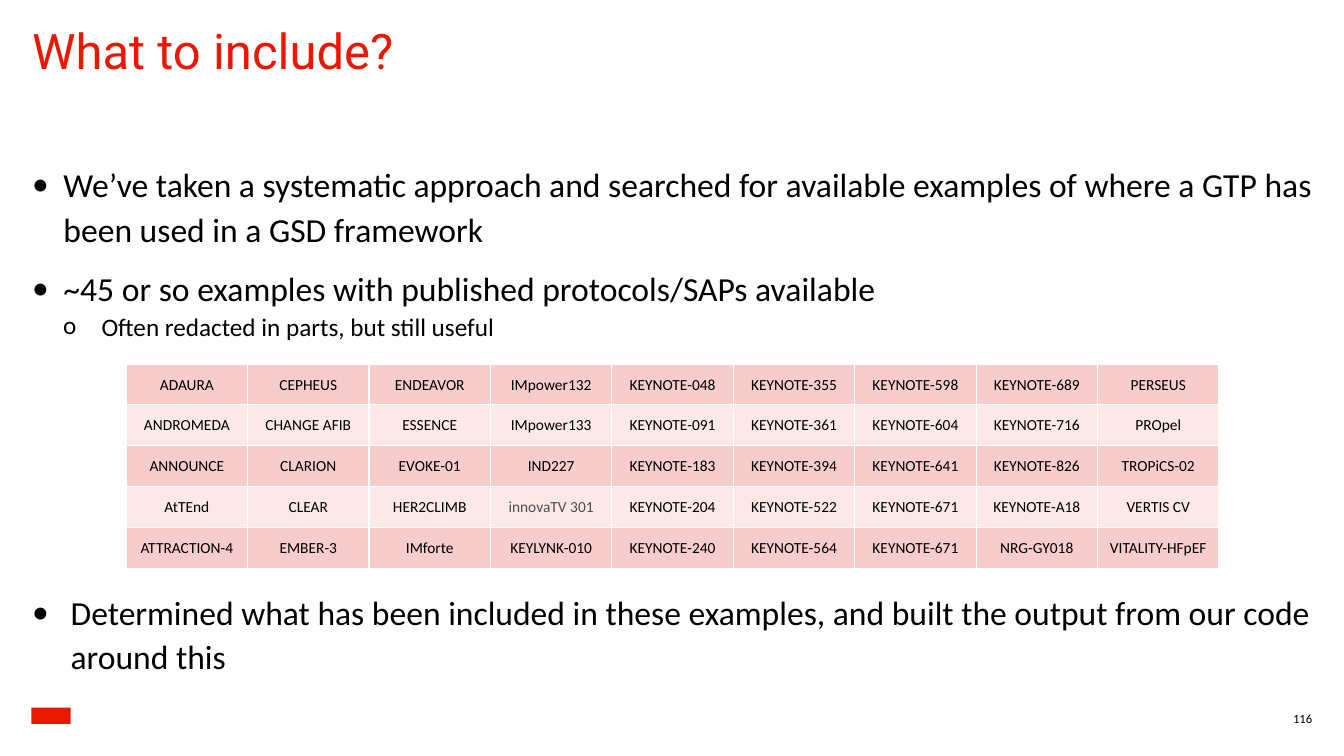
import lxml.etree
import pptx
import pptx.dml.color
import pptx.enum.shapes
import pptx.enum.text
import pptx.oxml.ns
import pptx.util

Cm = pptx.util.Cm
Pt = pptx.util.Pt
ALIGN = pptx.enum.text.PP_ALIGN
ANCHOR = pptx.enum.text.MSO_ANCHOR

RED, BLACK, GREY, WHITE = "EB1700", "000000", "4D4D4D", "FFFFFF"
BANDS = ("F7CCCC", "FBE8E7")
LEFT, CONTENT_WIDTH = 0.81, 32.26

# text, level, left indent (cm), hanging (cm), size (pt), space before (pt)
POINTS = [
    ("We’ve taken a systematic approach and searched for available examples "
     "of where a GTP has been used in a GSD framework", 0, 0.79, 0.79, 24, 0),
    ("~45 or so examples with published protocols/SAPs available",
     0, 0.79, 0.79, 24, 10.7),
    ("Often redacted in parts, but still useful", 1, 1.75, 0.97, 18, 0),
    ("Determined what has been included in these examples, and built the "
     "output from our code around this", 0, 0.97, 0.97, 24, 176),
]
BULLETS = ("•", "o")

TRIALS = [
    ["ADAURA", "CEPHEUS", "ENDEAVOR", "IMpower132", "KEYNOTE-048",
     "KEYNOTE-355", "KEYNOTE-598", "KEYNOTE-689", "PERSEUS"],
    ["ANDROMEDA", "CHANGE AFIB", "ESSENCE", "IMpower133", "KEYNOTE-091",
     "KEYNOTE-361", "KEYNOTE-604", "KEYNOTE-716", "PROpel"],
    ["ANNOUNCE", "CLARION", "EVOKE-01", "IND227", "KEYNOTE-183",
     "KEYNOTE-394", "KEYNOTE-641", "KEYNOTE-826", "TROPiCS-02"],
    ["AtTEnd", "CLEAR", "HER2CLIMB", "innovaTV 301", "KEYNOTE-204",
     "KEYNOTE-522", "KEYNOTE-671", "KEYNOTE-A18", "VERTIS CV"],
    ["ATTRACTION-4", "EMBER-3", "IMforte", "KEYLYNK-010", "KEYNOTE-240",
     "KEYNOTE-564", "KEYNOTE-671", "NRG-GY018", "VITALITY-HFpEF"],
]
GREY_TRIAL = "innovaTV 301"
COLUMN_WIDTH, ROW_HEIGHT = 3.06, 1.03


def rgb(value):
    return pptx.dml.color.RGBColor.from_string(value)


def place(shape, left, top, width, height):
    shape.left, shape.top = Cm(left), Cm(top)
    shape.width, shape.height = Cm(width), Cm(height)


def prepare_frame(frame, anchor):
    """Wrap text at fixed size, without inner margins."""
    frame.word_wrap = True
    frame.auto_size = pptx.enum.text.MSO_AUTO_SIZE.NONE
    frame.vertical_anchor = anchor
    frame.margin_left = frame.margin_right = 0
    frame.margin_top = frame.margin_bottom = 0


def format_paragraph(paragraph, size, color=BLACK, font="Calibri",
                     align=ALIGN.LEFT, line=1.0, before=0):
    paragraph.alignment = align
    paragraph.line_spacing = line
    paragraph.space_before = Pt(before)
    paragraph.space_after = Pt(0)
    for run in paragraph.runs:
        run.font.size = Pt(size)
        run.font.name = font
        run.font.color.rgb = rgb(color)


def add_bullet(paragraph, mark, indent, hanging):
    properties = paragraph._p.get_or_add_pPr()
    properties.set("marL", str(Cm(indent)))
    properties.set("indent", str(-Cm(hanging)))
    for tag, key, value in (("a:buFont", "typeface", "Calibri"),
                            ("a:buChar", "char", mark)):
        lxml.etree.SubElement(properties, pptx.oxml.ns.qn(tag)).set(key, value)


def add_borders(cell, color, width):
    properties = cell._tc.get_or_add_tcPr()
    for side in ("a:lnL", "a:lnR", "a:lnT", "a:lnB"):
        border = lxml.etree.SubElement(properties, pptx.oxml.ns.qn(side))
        border.set("w", str(Pt(width)))
        fill = lxml.etree.SubElement(border, pptx.oxml.ns.qn("a:solidFill"))
        lxml.etree.SubElement(fill, pptx.oxml.ns.qn("a:srgbClr")).set("val", color)


def fill_title(title):
    place(title, LEFT, 0.74, CONTENT_WIDTH, 1.3)
    prepare_frame(title.text_frame, ANCHOR.TOP)
    title.text_frame.text = "What to include?"
    format_paragraph(title.text_frame.paragraphs[0], 35, RED, "Roboto", line=0.85)


def fill_points(body):
    place(body, LEFT, 4.04, CONTENT_WIDTH, 7.49)
    frame = body.text_frame
    prepare_frame(frame, ANCHOR.TOP)
    frame.text = "\n".join(point[0] for point in POINTS)
    for paragraph, point in zip(frame.paragraphs, POINTS):
        _, level, indent, hanging, size, before = point
        paragraph.level = level
        add_bullet(paragraph, BULLETS[level], indent, hanging)
        format_paragraph(paragraph, size, line=1.1, before=before)


def add_trials(slide):
    rows, columns = len(TRIALS), len(TRIALS[0])
    table = slide.shapes.add_table(
        rows, columns, Cm(3.18), Cm(9.17),
        Cm(COLUMN_WIDTH * columns), Cm(ROW_HEIGHT * rows)).table
    table.first_row = table.horz_banding = False
    for column in table.columns:
        column.width = Cm(COLUMN_WIDTH)
    for r, trials in enumerate(TRIALS):
        table.rows[r].height = Cm(ROW_HEIGHT)
        for c, trial in enumerate(trials):
            cell = table.cell(r, c)
            add_borders(cell, WHITE, 1)
            cell.fill.solid()
            cell.fill.fore_color.rgb = rgb(BANDS[r % 2])
            cell.vertical_anchor = ANCHOR.MIDDLE
            cell.margin_left = cell.margin_right = cell.margin_top = Cm(0.02)
            cell.margin_bottom = 0
            cell.text_frame.text = trial
            format_paragraph(cell.text_frame.paragraphs[0], 11,
                             GREY if trial == GREY_TRIAL else BLACK,
                             align=ALIGN.CENTER)


def add_logo_block(slide):
    block = slide.shapes.add_shape(
        pptx.enum.shapes.MSO_SHAPE.RECTANGLE,
        Cm(0.79), Cm(17.83), Cm(0.99), Cm(0.41))
    block.shadow.inherit = False
    block.fill.solid()
    block.fill.fore_color.rgb = rgb(RED)
    block.line.fill.background()


def add_page_number(slide):
    frame = slide.shapes.add_textbox(
        Cm(32.18), Cm(17.88), Cm(0.89), Cm(0.43)).text_frame
    prepare_frame(frame, ANCHOR.MIDDLE)
    frame.text = "116"
    format_paragraph(frame.paragraphs[0], 9, align=ALIGN.RIGHT, line=1.1)


def main():
    deck = pptx.Presentation()
    deck.slide_width, deck.slide_height = Cm(33.87), Cm(19.05)
    slide = deck.slides.add_slide(deck.slide_layouts[1])
    add_logo_block(slide)
    fill_title(slide.shapes.title)
    fill_points(slide.placeholders[1])
    add_page_number(slide)
    add_trials(slide)
    deck.save("out.pptx")


if __name__ == "__main__":
    main()
